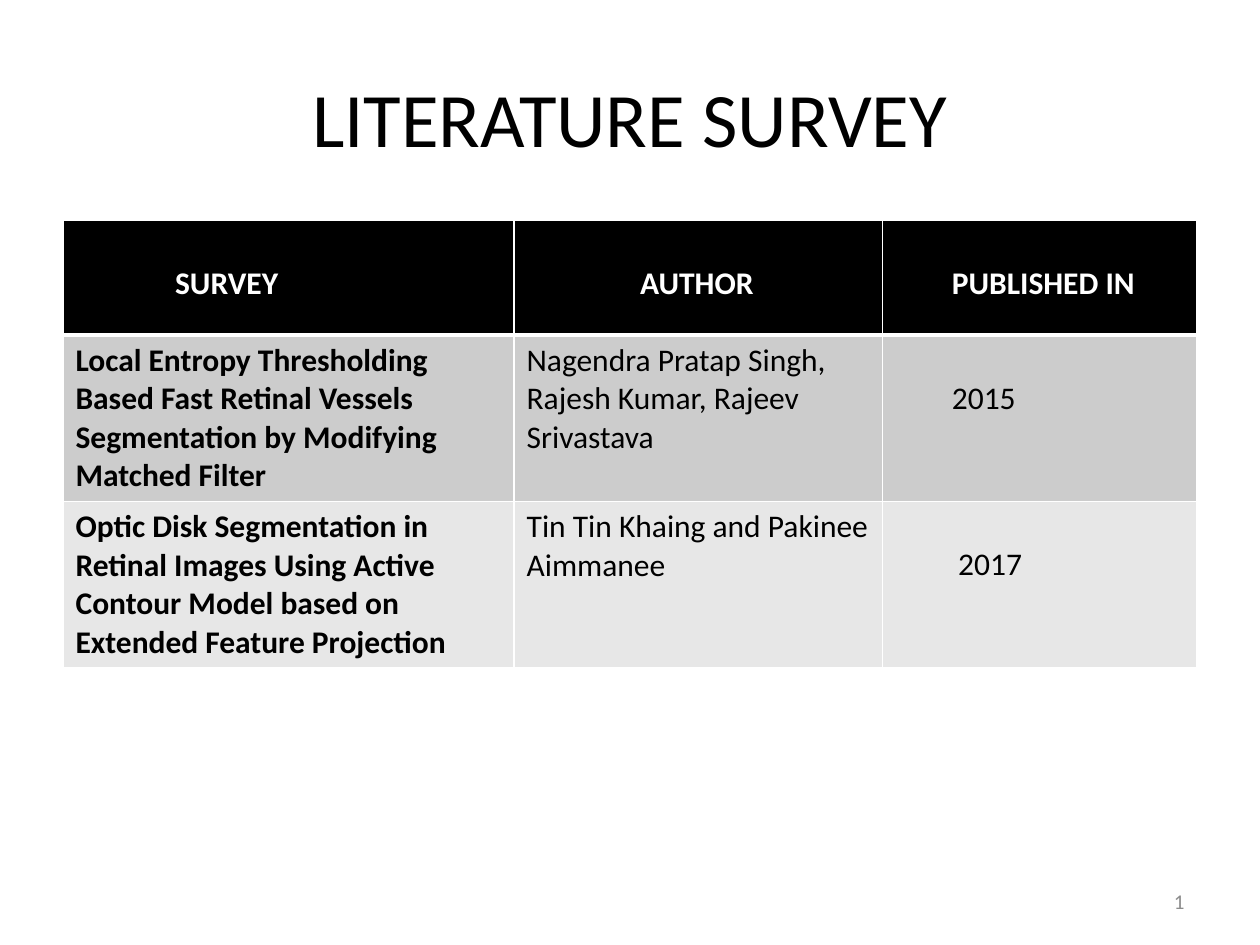
from dataclasses import dataclass

from lxml.etree import SubElement
from pptx import Presentation
from pptx.dml.color import RGBColor as Color
from pptx.enum.text import MSO_ANCHOR as Anchor, PP_ALIGN as Align
from pptx.oxml import parse_xml
from pptx.oxml.ns import nsdecls, qn
from pptx.util import Inches, Pt

GRID_COLUMNS, GRID_ROWS = 20, 30
TITLE_ONLY = 5


@dataclass(frozen=True)
class Theme:
    font: str = "Calibri"
    ink: str = "000000"
    paper: str = "FFFFFF"
    muted: str = "8C8C8C"
    bands: tuple = ("CCCCCC", "E7E7E7")
    title_size: int = 44
    body_size: int = 18
    number_size: int = 12
    rule: int = 1
    header_rule: int = 3


@dataclass(frozen=True)
class Entry:
    """Paragraphs of one table cell; indent and drop are extra inches from left and top."""
    lines: tuple
    bold: bool = False
    indent: float = 0
    drop: float = 0


class SlideBuilder:
    def __init__(self, deck, theme):
        self.theme = theme
        self.page = deck.slides.add_slide(deck.slide_layouts[TITLE_ONLY])
        self.column = deck.slide_width / GRID_COLUMNS
        self.row = deck.slide_height / GRID_ROWS

    def area(self, left, top, width, height):
        """Turn grid columns and rows into slide lengths."""
        return (round(left * self.column), round(top * self.row),
                round(width * self.column), round(height * self.row))

    def style(self, font, size, color, bold=False):
        font.name, font.size, font.bold = self.theme.font, Pt(size), bold
        font.color.rgb = Color.from_string(color)

    def add_span(self, para, text, size, color, bold=False):
        span = para.add_run()
        span.text = text
        self.style(span.font, size, color, bold)
        return span

    def title(self, text, *place):
        box = self.page.shapes.title
        box.left, box.top, box.width, box.height = self.area(*place)
        box.text_frame.vertical_anchor = Anchor.MIDDLE
        para = box.text_frame.paragraphs[0]
        para.alignment = Align.CENTER
        self.add_span(para, text, self.theme.title_size, self.theme.ink)

    def slide_number(self, text, *place):
        box = self.page.shapes.add_textbox(*self.area(*place))
        box.text_frame.word_wrap = True
        box.text_frame.vertical_anchor = Anchor.MIDDLE
        para = box.text_frame.paragraphs[0]
        para.alignment = Align.RIGHT
        span = self.add_span(para, text, self.theme.number_size, self.theme.muted)
        field = SubElement(para._p, qn("a:fld"), type="slidenum",
                           id="{B6F15528-21DE-4FAA-801E-634DDDAF4B2B}")
        field.extend(list(span._r))
        para._p.remove(span._r)

    def table(self, entries, widths, heights, *place):
        frame = self.page.shapes.add_table(len(heights), len(widths), *self.area(*place))
        table = frame.table
        for column, width in zip(table.columns, widths):
            column.width = round(width * self.column)
        for row, height in zip(table.rows, heights):
            row.height = round(height * self.row)
        for r, row_entries in enumerate(entries):
            for c, entry in enumerate(row_entries):
                self.fill_cell(table.cell(r, c), entry, r)

    def fill_cell(self, cell, entry, row):
        theme = self.theme
        is_header = row == 0
        back = theme.ink if is_header else theme.bands[(row - 1) % len(theme.bands)]
        cell.fill.solid()
        cell.fill.fore_color.rgb = Color.from_string(back)
        cell.margin_left = Inches(0.1 + entry.indent)
        cell.margin_top = Inches(0.05 + entry.drop)
        for index, line in enumerate(entry.lines):
            paras = cell.text_frame
            para = paras.add_paragraph() if index else paras.paragraphs[0]
            self.add_span(para, line, theme.body_size,
                          theme.paper if is_header else theme.ink, entry.bold)
        self.cell_borders(cell, L=theme.rule, R=theme.rule,
                          T=theme.header_rule if row == 1 else theme.rule,
                          B=theme.header_rule if is_header else theme.rule)

    def cell_borders(self, cell, **sides):
        properties = cell._tc.get_or_add_tcPr()
        for index, (side, width) in enumerate(sides.items()):
            properties.insert(index, parse_xml(
                f'<a:ln{side} {nsdecls("a")} w="{Pt(width)}"><a:solidFill>'
                f'<a:srgbClr val="{self.theme.paper}"/></a:solidFill></a:ln{side}>'))


def main():
    deck = Presentation()
    deck.slide_width, deck.slide_height = Inches(10), Inches(7.5)
    slide = SlideBuilder(deck, Theme())
    slide.title("LITERATURE SURVEY", 1, 1.2, 18, 5)

    line_drop = 0.3
    survey = [
        [Entry(("SURVEY",), True, 0.79, line_drop),
         Entry(("AUTHOR",), True, 0.9, line_drop),
         Entry(("PUBLISHED IN",), True, 0.45, line_drop)],
        [Entry(("Local Entropy Thresholding ",
                "Based Fast Retinal Vessels Segmentation by Modifying Matched Filter"), True),
         Entry(("Nagendra Pratap Singh, Rajesh Kumar, Rajeev Srivastava",)),
         Entry(("2015",), indent=0.45, drop=line_drop)],
        [Entry(("Optic Disk Segmentation in Retinal Images Using Active "
                "Contour Model based on Extended Feature Projection",), True),
         Entry(("Tin Tin Khaing and Pakinee Aimmanee",)),
         Entry(("2017",), indent=0.5, drop=line_drop)],
    ]
    slide.table(survey, (7.16, 5.85, 4.99), (3.64, 5.2, 5.2), 1, 7, 18, 14.04)
    slide.slide_number("3", 14.34, 27.8, 4.66, 1.6)
    deck.save("out.pptx")


if __name__ == "__main__":
    main()
